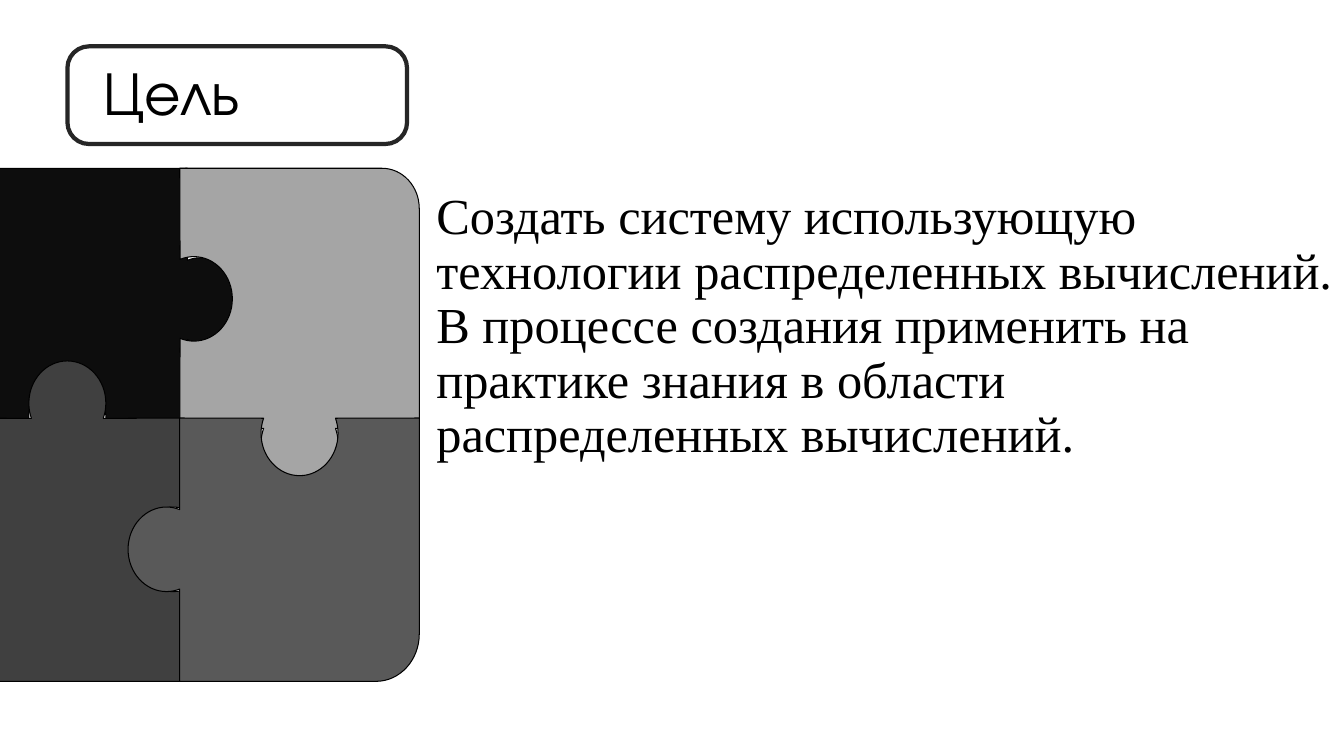
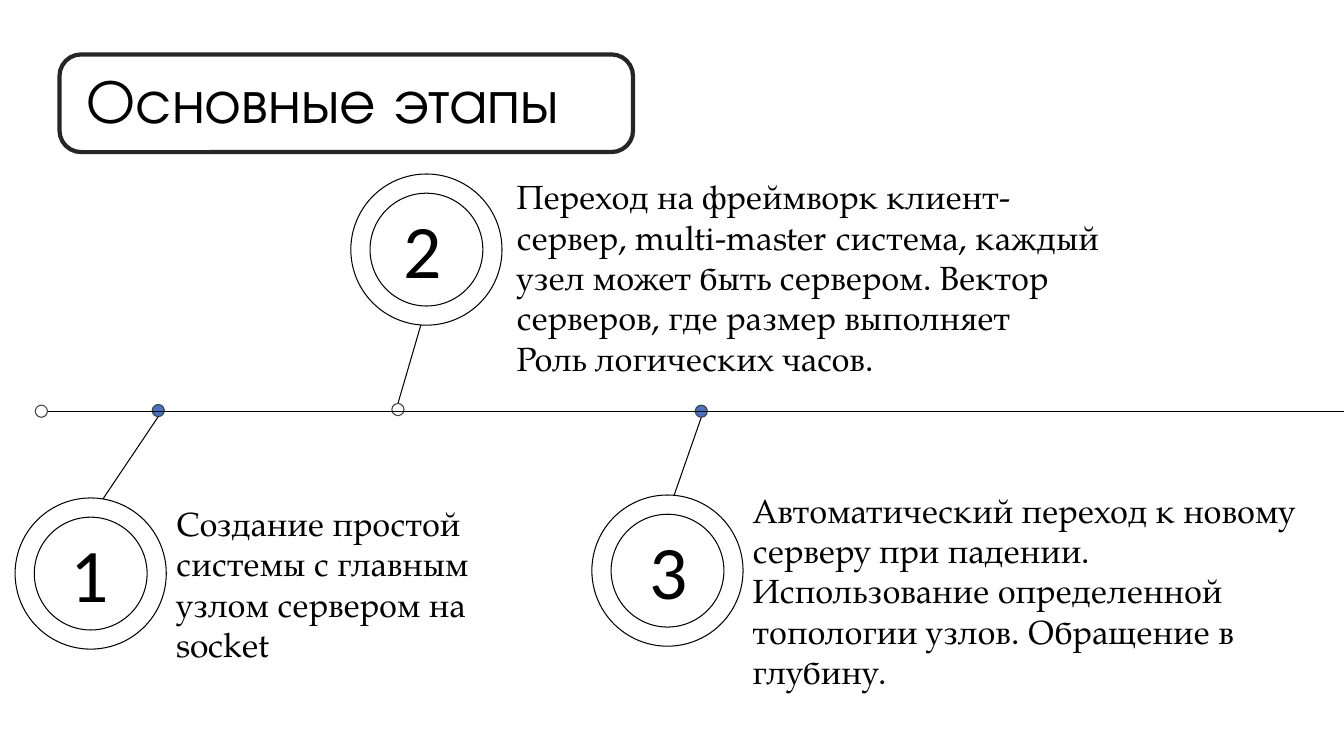
"""Build two slides: the project goal beside a puzzle, and a timeline of the main stages."""
from collections import namedtuple
from math import ceil, cos, floor, radians, sin, tan

from pptx import Presentation
from pptx.dml.color import RGBColor
from pptx.enum.shapes import MSO_CONNECTOR, MSO_SHAPE
from pptx.enum.text import MSO_ANCHOR, MSO_AUTO_SIZE, PP_ALIGN
from pptx.oxml.ns import qn
from pptx.util import Pt

BLACK = RGBColor(0x00, 0x00, 0x00)
WHITE = RGBColor(0xFF, 0xFF, 0xFF)
FRAME = RGBColor(0x26, 0x26, 0x26)
DOT_EDGE = RGBColor(0x3D, 0x3D, 0x3D)
BLUE = RGBColor(0x44, 0x72, 0xC4)
COAL = RGBColor(0x0D, 0x0D, 0x0D)
CHARCOAL = RGBColor(0x40, 0x40, 0x40)
SILVER = RGBColor(0xA5, 0xA5, 0xA5)
GRAPHITE = RGBColor(0x59, 0x59, 0x59)

TITLE_FONT, GOAL_FONT = "TeX Gyre Adventor", "Times New Roman"
STAGE_FONT, NUMBER_FONT = "TeX Gyre Pagella", "Calibri"
SLIDE_W, SLIDE_H = 960, 540
TITLE_W, TITLE_H = 828, 104.4
FRAME_H, FRAME_ROUNDING = 69.8, 0.221
THIN, THICK = 0.75, 3

GOAL = ("Создать систему использующую технологии распределенных вычислений. "
        "В процессе создания применить на практике знания в области "
        "распределенных вычислений.")
GOAL_BOX = (304.6, 133.2, 655.2, 342.7)

KNOB_RX, KNOB_RY = 27.5, 30.2
Corner = namedtuple("Corner", "x y")
Arc = namedtuple("Arc", "cx cy start end rx ry", defaults=(KNOB_RX, KNOB_RY))
PUZZLE = [
    (COAL, [Arc(-7.2, 154.1, 180, 270, 30.2, 33.8), Corner(133.9, 120.2),
            Arc(143.3, 214.3, -110, 110), Corner(133.9, 308.2),
            Arc(48.1, 297.4, 21, -201), Corner(-37.4, 308.2)]),
    (CHARCOAL, [Arc(-8.6, 454.3, 90, 180, 28.8, 32.4), Corner(-37.4, 298.6),
                Arc(48.1, 288, 159, 381), Corner(133.9, 298.6),
                Arc(123.5, 392.4, -68, -292), Corner(133.9, 486.7)]),
    (SILVER, [Corner(128.4, 120.2), Arc(272.9, 149, 270, 360, 26.6, 28.8),
              Corner(299.5, 306.7), Arc(214, 316.8, -21, 201),
              Corner(128.4, 306.7), Arc(138.5, 213.5, 111, -111)]),
    (GRAPHITE, [Corner(128.4, 298.6), Arc(214, 309.6, 201, -21),
                Corner(299.5, 298.6), Arc(268.6, 452.9, 0, 90, 30.9, 33.8),
                Corner(128.4, 486.7), Arc(119, 392.4, 70, 290)]),
]

RING, RING_GAP, DOT = 108, 13.7, 8.7
NUMBER_W, NUMBER_H, NUMBER_DROP = 46.8, 72.7, 17.4
AXIS_Y, AXIS_DOT_X = 293.7, 25.2
Stage = namedtuple("Stage", "number ring number_x dot dot_fill box paragraphs")
STAGES = [
    Stage("2", (250.6, 124.3), 281, (279.9, 288.2), WHITE, (361.9, 122.4, 440.6, 152.6),
          ["Переход на фреймворк клиент-сервер, multi-master система, каждый узел "
           "может быть сервером. Вектор серверов, где размер выполняет",
           "Роль логических часов."]),
    Stage("1", (10.8, 355.7), 43.2, (108.7, 288.9), BLUE, (118.8, 355.7, 240.5, 123.8),
          ["Создание простой системы с главным узлом сервером на socket"]),
    Stage("3", (422.8, 353.6), 456.5, (496.6, 289.4), BLUE, (530.6, 346.2, 429.1, 152.6),
          ["Автоматический переход к новому серверу при падении. Использование "
           "определенной топологии узлов. Обращение в глубину."]),
]


def points(*lengths):
    return [Pt(length) for length in lengths]


def style_text(frame, paragraphs, font, size, grow=True, spacing=1.0, before=0):
    frame.word_wrap = True
    frame.auto_size = MSO_AUTO_SIZE.SHAPE_TO_FIT_TEXT if grow else MSO_AUTO_SIZE.NONE
    frame.text = "\n".join(paragraphs)
    for paragraph in frame.paragraphs:
        paragraph.alignment = PP_ALIGN.LEFT
        paragraph.line_spacing = spacing
        paragraph.space_before = Pt(before)
        for run in paragraph.runs:
            run.font.name, run.font.size = font, Pt(size)
            run.font.color.rgb = BLACK


def add_text(slide, box, paragraphs, font, size, **style):
    style_text(slide.shapes.add_textbox(*points(*box)).text_frame, paragraphs, font, size, **style)


def paint(shape, fill, edge, weight=THIN):
    shape.shadow.inherit = False
    if fill is None:
        shape.fill.background()
    else:
        shape.fill.solid()
        shape.fill.fore_color.rgb = fill
    shape.line.color.rgb = edge
    shape.line.width = Pt(weight)


def add_circle(slide, left, top, size, fill, edge):
    circle = slide.shapes.add_shape(MSO_SHAPE.OVAL, *points(left, top, size, size))
    paint(circle, fill, edge)


def add_line(slide, *ends):
    line = slide.shapes.add_connector(MSO_CONNECTOR.STRAIGHT, *points(*ends))
    line.line.color.rgb = BLACK
    line.line.width = Pt(THIN)
    properties = line._element.spPr
    properties.append(properties.makeelement(qn("a:effectLst"), {}))


def add_titled_slide(deck, title, left, top):
    slide = deck.slides.add_slide(deck.slide_layouts[5])
    heading = slide.shapes.title
    heading.left, heading.top, heading.width, heading.height = points(left, top, TITLE_W, TITLE_H)
    heading.text_frame.vertical_anchor = MSO_ANCHOR.MIDDLE
    style_text(heading.text_frame, [title], TITLE_FONT, 44, grow=False, spacing=0.9)
    return slide


def add_title_frame(slide, left, top, width):
    frame = slide.shapes.add_shape(MSO_SHAPE.ROUNDED_RECTANGLE, *points(left, top, width, FRAME_H))
    frame.adjustments[0] = FRAME_ROUNDING
    paint(frame, None, FRAME, THICK)


def arc_curves(arc):
    """Return the start of an arc and its Bezier triples, split at the quadrants."""
    low, high = sorted((arc.start, arc.end))
    quadrants = range(90 * (floor(low / 90) + 1), 90 * ceil(high / 90), 90)
    angles = [radians(angle) for angle in (low, *quadrants, high)]
    if arc.start > arc.end:
        angles.reverse()

    def place(angle, pull=0):
        return points(arc.cx + arc.rx * (cos(angle) - pull * sin(angle)),
                      arc.cy + arc.ry * (sin(angle) + pull * cos(angle)))

    triples = []
    for begin, finish in zip(angles, angles[1:]):
        pull = 4 / 3 * tan((finish - begin) / 4)
        triples.append([place(begin, pull), place(finish, -pull), place(finish)])
    return place(angles[0]), triples


def add_piece(slide, fill, outline):
    steps = []
    for part in outline:
        if isinstance(part, Corner):
            steps.append([points(*part)])
        else:
            start, triples = arc_curves(part)
            steps += [[start], *triples]
    (origin,), *steps = steps
    builder = slide.shapes.build_freeform(*origin)
    builder.add_line_segments([spot for step in steps for spot in step], close=True)
    piece = builder.convert_to_shape()
    segments = iter(list(piece._element.iter(qn("a:lnTo"))))
    for step in steps:
        group = [next(segments) for _ in step]
        if len(group) == 3:
            curve = group[0].makeelement(qn("a:cubicBezTo"), {})
            group[0].addprevious(curve)
            for segment in group:
                curve.append(segment[0])
                segment.getparent().remove(segment)
    paint(piece, fill, BLACK)


def add_marker(slide, stage):
    left, top = stage.ring
    dot_left, dot_top = stage.dot
    above = top < AXIS_Y
    ring_end = top + RING - RING_GAP if above else top + RING_GAP
    dot_end = dot_top if above else dot_top + DOT
    add_line(slide, left + RING / 2, ring_end, dot_left + DOT / 2, dot_end)
    add_circle(slide, dot_left, dot_top, DOT, stage.dot_fill, DOT_EDGE)
    for gap in (0, RING_GAP):
        add_circle(slide, left + gap, top + gap, RING - 2 * gap, WHITE, BLACK)


def build_goal(deck):
    slide = add_titled_slide(deck, "Цель", 67, 15.8)
    add_text(slide, GOAL_BOX, [GOAL], GOAL_FONT, 36, grow=False, spacing=0.9, before=10)
    for fill, outline in PUZZLE:
        add_piece(slide, fill, outline)
    add_title_frame(slide, 48.2, 33.1, 242.6)


def build_stages(deck):
    slide = add_titled_slide(deck, "Основные этапы", 54.7, 21.6)
    for stage in STAGES:
        add_marker(slide, stage)
    add_line(slide, AXIS_DOT_X + DOT, AXIS_Y, SLIDE_W, AXIS_Y)
    add_circle(slide, AXIS_DOT_X, AXIS_Y - DOT / 2, DOT, WHITE, DOT_EDGE)
    for stage in STAGES:
        number_box = (stage.number_x, stage.ring[1] + NUMBER_DROP, NUMBER_W, NUMBER_H)
        add_text(slide, number_box, [stage.number], NUMBER_FONT, 54)
        add_text(slide, stage.box, stage.paragraphs, STAGE_FONT, 24)
    add_title_frame(slide, 42.5, 38.9, 409.7)


def main():
    deck = Presentation()
    deck.slide_width, deck.slide_height = points(SLIDE_W, SLIDE_H)
    build_goal(deck)
    build_stages(deck)
    deck.save("out.pptx")


if __name__ == "__main__":
    main()
